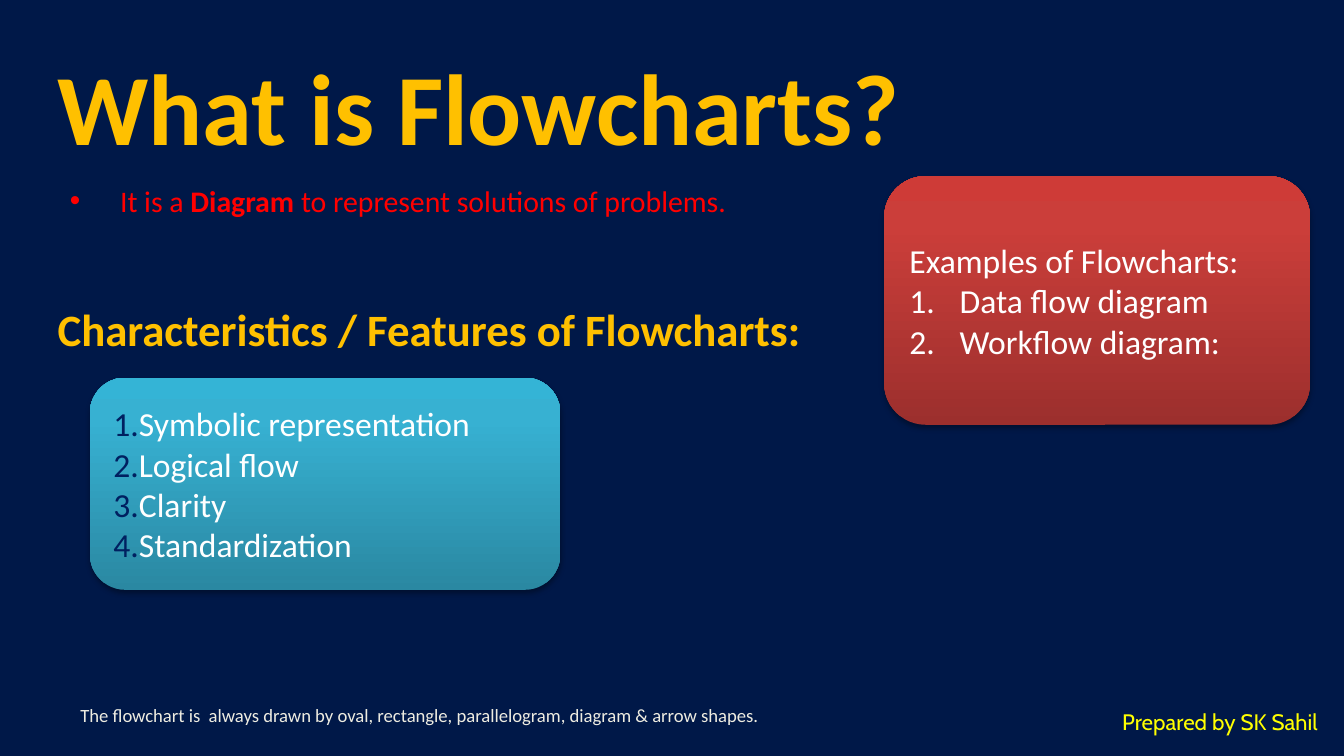
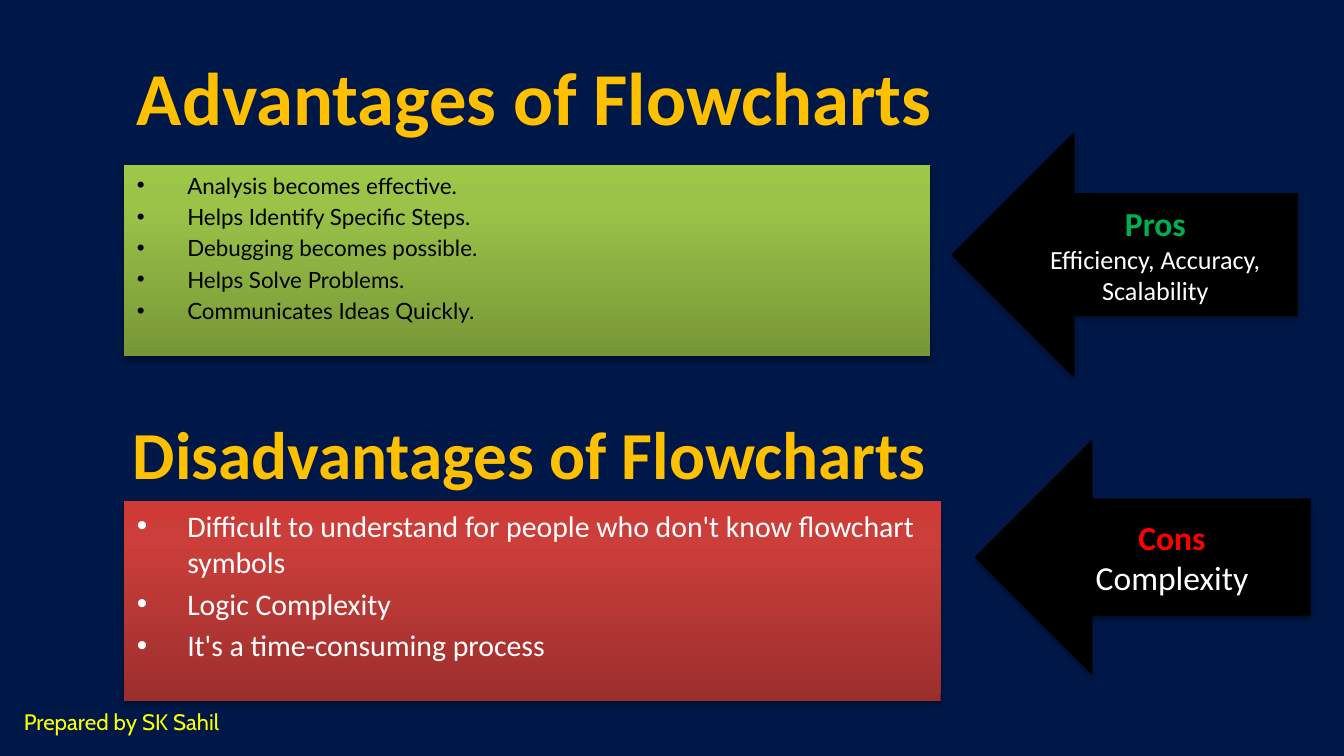
from copy import deepcopy
from dataclasses import dataclass
from typing import NamedTuple, Optional

from lxml.etree import SubElement
from pptx import Presentation
from pptx.dml.color import RGBColor
from pptx.enum.shapes import MSO_SHAPE as Preset
from pptx.enum.text import MSO_ANCHOR as Anchor, PP_ALIGN as Align
from pptx.oxml.ns import qn
from pptx.util import Cm, Pt

NAVY = RGBColor(0x00, 0x18, 0x48)
GOLD = RGBColor(0xFF, 0xC0, 0x00)
RED = RGBColor(0xFF, 0x00, 0x00)
GREEN = RGBColor(0x00, 0xB0, 0x50)
YELLOW = RGBColor(0xFF, 0xFF, 0x00)
WHITE = RGBColor(0xFF, 0xFF, 0xFF)
BLACK = RGBColor(0x00, 0x00, 0x00)
IVORY = RGBColor(0xEE, 0xEC, 0xE1)
INK = RGBColor(0x00, 0x20, 0x60)
RED_SHADES = (RGBColor(0x9C, 0x2F, 0x2D), RGBColor(0xCB, 0x3E, 0x3A), RGBColor(0xCE, 0x3B, 0x37))
BLUE_SHADES = (RGBColor(0x2A, 0x88, 0xA2), RGBColor(0x37, 0xB1, 0xD2), RGBColor(0x34, 0xB4, 0xD6))
GREEN_SHADES = (RGBColor(0x77, 0x97, 0x37), RGBColor(0x9B, 0xC3, 0x48), RGBColor(0x9D, 0xC7, 0x46))
SHADE_STOPS = (0, 0.8, 1)

BODY_FONT = "Calibri"
HANGING = Cm(0.95)
HEADING_SIZE = (22.86, 2.38)


class Area(NamedTuple):
    left: float
    top: float
    width: float
    height: float


@dataclass(frozen=True)
class Span:
    text: str
    size: float = 18
    color: RGBColor = WHITE
    bold: bool = False
    font: str = BODY_FONT


@dataclass(frozen=True)
class Para:
    spans: tuple[Span, ...]
    marker: str = ""
    marker_color: Optional[RGBColor] = None
    hanging: bool = False
    align: Align = Align.LEFT


@dataclass(frozen=True)
class Panel:
    area: Area
    preset: Preset
    shades: tuple[RGBColor, ...]
    paras: list[Para]
    anchor: Anchor = Anchor.MIDDLE


def single(text: str, **style) -> Para:
    return Para((Span(text, **style),))


def bullets(*texts: str, **style) -> list[Para]:
    return [Para((Span(text, **style),), "•", hanging=True) for text in texts]


def numbers(*texts: str, **layout) -> list[Para]:
    return [Para((Span(text),), "1.", **layout) for text in texts]


def centred(*spans: Span) -> list[Para]:
    return [Para((span,), align=Align.CENTER) for span in spans]


def add_marker(paragraph, para: Para) -> None:
    properties = paragraph._p.get_or_add_pPr()
    indent = HANGING if para.hanging else 0
    properties.set("marL", str(int(indent)))
    properties.set("indent", str(-int(indent)))
    if para.marker_color is not None:
        color = SubElement(properties, qn("a:buClr"))
        SubElement(color, qn("a:srgbClr"), val=str(para.marker_color))
    if para.marker == "•":
        SubElement(properties, qn("a:buFont"), typeface="Arial")
        SubElement(properties, qn("a:buChar"), char=para.marker)
    else:
        SubElement(properties, qn("a:buFont"), typeface="+mj-lt")
        SubElement(properties, qn("a:buAutoNum"), type="arabicPeriod")


def write(frame, paras: list[Para], anchor: Anchor, wrap: bool = True) -> None:
    frame.word_wrap = wrap
    frame.vertical_anchor = anchor
    for index, para in enumerate(paras):
        paragraph = frame.paragraphs[0] if index == 0 else frame.add_paragraph()
        paragraph.alignment = para.align
        if para.marker == "•":
            paragraph.space_before = Pt(0.2 * para.spans[0].size)
        if para.marker:
            add_marker(paragraph, para)
        for span in para.spans:
            run = paragraph.add_run()
            run.text = span.text
            run.font.name = span.font
            run.font.size = Pt(span.size)
            run.font.bold = span.bold
            run.font.color.rgb = span.color


def add_text(page, area: Area, paras: list[Para], anchor: Anchor = Anchor.TOP, wrap: bool = True) -> None:
    box = page.shapes.add_textbox(*map(Cm, area))
    write(box.text_frame, paras, anchor, wrap)


def add_heading(page, left: float, top: float, text: str, size: float) -> None:
    para = single(text, size=size, color=GOLD, bold=True)
    add_text(page, Area(left, top, *HEADING_SIZE), [para], Anchor.MIDDLE)


def add_credit(page, left: float) -> None:
    para = single("Prepared by SK Sahil", size=12, color=YELLOW, font="Cabin")
    add_text(page, Area(left, 13.26, 4.24, 0.76), [para], wrap=False)


def shade(shape, colors: tuple[RGBColor, ...]) -> None:
    if len(colors) == 1:
        shape.fill.solid()
        shape.fill.fore_color.rgb = colors[0]
        return
    shape.fill.gradient()
    shape.fill.gradient_angle = 90
    stops = shape._element.spPr.find(".//" + qn("a:gsLst"))
    stops.append(deepcopy(stops[0]))
    for stop, color, position in zip(shape.fill.gradient_stops, colors, SHADE_STOPS):
        stop.color.rgb = color
        stop.position = position


def add_shadow(shape) -> None:
    shape.shadow.inherit = False
    effects = shape._element.spPr.find(qn("a:effectLst"))
    shadow = SubElement(
        effects, qn("a:outerShdw"), blurRad=str(int(Pt(3.1))), dist=str(int(Pt(1.8))),
        dir="5400000", rotWithShape="0",
    )
    color = SubElement(shadow, qn("a:srgbClr"), val=str(BLACK))
    SubElement(color, qn("a:alpha"), val="35000")


def add_panel(page, panel: Panel) -> None:
    shape = page.shapes.add_shape(panel.preset, *map(Cm, panel.area))
    shade(shape, panel.shades)
    shape.line.fill.background()
    add_shadow(shape)
    write(shape.text_frame, panel.paras, panel.anchor)


def add_page(deck):
    page = deck.slides.add_slide(deck.slide_layouts[6])
    page.background.fill.solid()
    page.background.fill.fore_color.rgb = NAVY
    return page


def build_definition(deck) -> None:
    page = add_page(deck)
    add_heading(page, 0.84, 0.79, "What is Flowcharts?", 54)
    definition = Para(
        (
            Span("It is a ", 16, RED),
            Span("Diagram", 16, RED, True),
            Span(" to represent solutions of problems.", 16, RED),
        ),
        "•",
        hanging=True,
    )
    add_text(page, Area(1.07, 3.33, 16.08, 3.18), [definition])
    examples = numbers("Data flow diagram", "Workflow diagram:", hanging=True)
    add_panel(page, Panel(
        Area(16.71, 3.33, 8.05, 4.7), Preset.ROUNDED_RECTANGLE, RED_SHADES,
        [single("Examples of Flowcharts:"), *examples],
    ))
    add_heading(page, 0.84, 5.03, "Characteristics / Features of Flowcharts:", 24)
    features = numbers(
        "Symbolic representation", "Logical flow", "Clarity", "Standardization", marker_color=INK,
    )
    add_panel(page, Panel(
        Area(1.7, 7.14, 8.89, 4.01), Preset.ROUNDED_RECTANGLE, BLUE_SHADES, features,
    ))
    note = single(
        "The flowchart is  always drawn by oval, rectangle, parallelogram, diagram & arrow shapes.",
        size=10, color=IVORY,
    )
    add_text(page, Area(1.27, 13.18, 13.97, 0.69), [note], wrap=False)
    add_credit(page, 20.96)


def build_comparison(deck) -> None:
    page = add_page(deck)
    add_heading(page, 2.34, 0.61, "Advantages of Flowcharts", 40)
    add_heading(page, 2.26, 7.37, "Disadvantages of Flowcharts", 36)
    advantages = bullets(
        "Analysis becomes effective.",
        "Helps Identify Specific Steps.",
        "Debugging becomes possible.",
        "Helps Solve Problems.",
        "Communicates Ideas Quickly.",
        size=12, color=BLACK, font="Lato",
    )
    disadvantages = bullets(
        "Difficult to understand for people who don't know flowchart symbols",
        "Logic Complexity",
        "It's a time-consuming process",
        size=16,
    )
    pros = centred(Span("Pros", color=GREEN, bold=True), Span("Efficiency, Accuracy, Scalability", 14))
    cons = centred(Span("Cons", color=RED, bold=True), Span("Complexity"))
    panels = (
        Panel(Area(2.34, 3.12, 15.24, 3.61), Preset.RECTANGLE, GREEN_SHADES, advantages, Anchor.TOP),
        Panel(Area(2.34, 9.47, 15.44, 3.78), Preset.RECTANGLE, RED_SHADES, disadvantages, Anchor.TOP),
        Panel(Area(17.98, 2.49, 6.55, 4.65), Preset.LEFT_ARROW, (BLACK,), pros),
        Panel(Area(18.42, 8.31, 6.35, 4.45), Preset.LEFT_ARROW, (BLACK,), cons),
    )
    for panel in panels:
        add_panel(page, panel)
    add_credit(page, 0.2)


def main() -> None:
    deck = Presentation()
    deck.slide_width = Cm(25.4)
    deck.slide_height = Cm(14.29)
    build_definition(deck)
    build_comparison(deck)
    deck.save("out.pptx")


if __name__ == "__main__":
    main()
